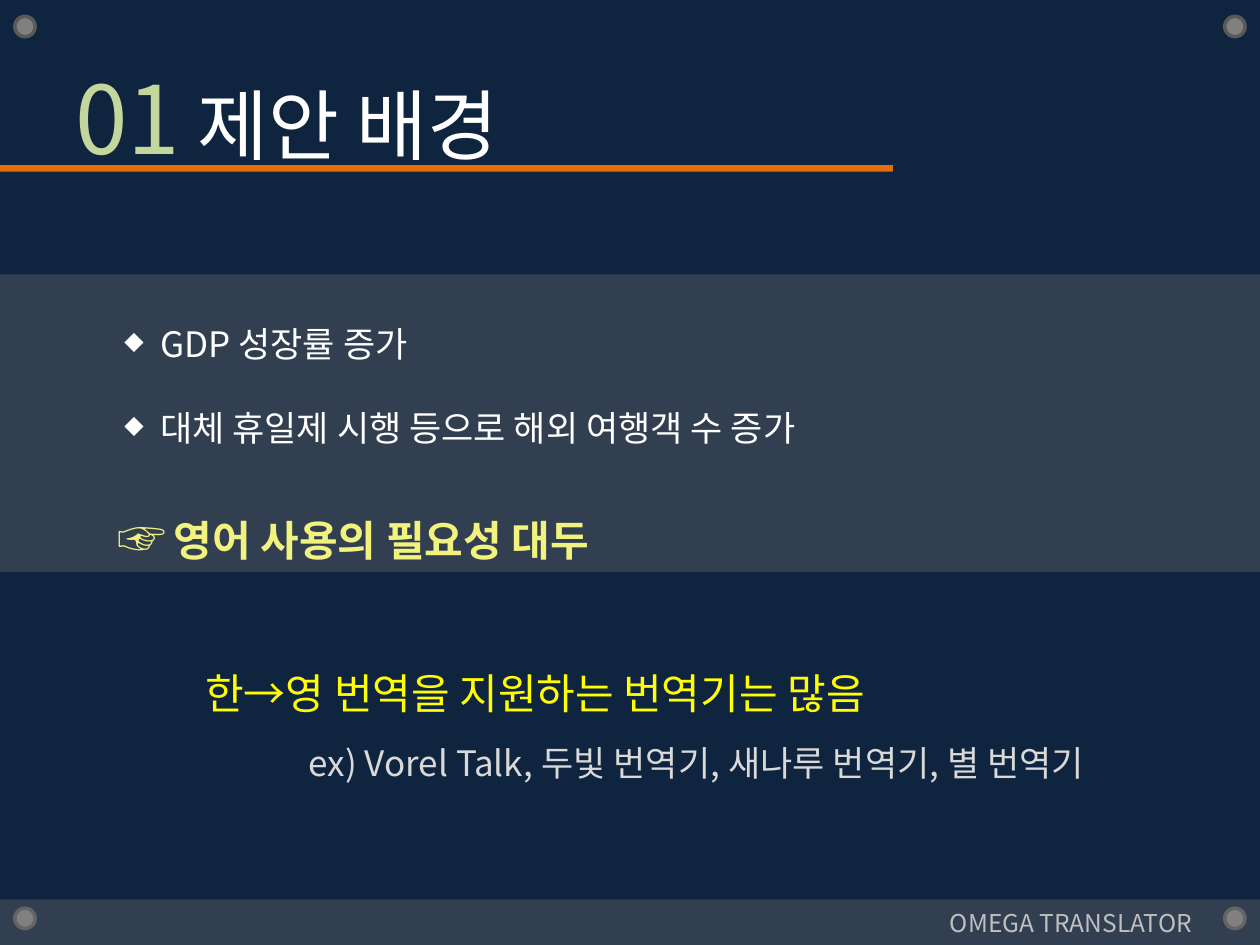
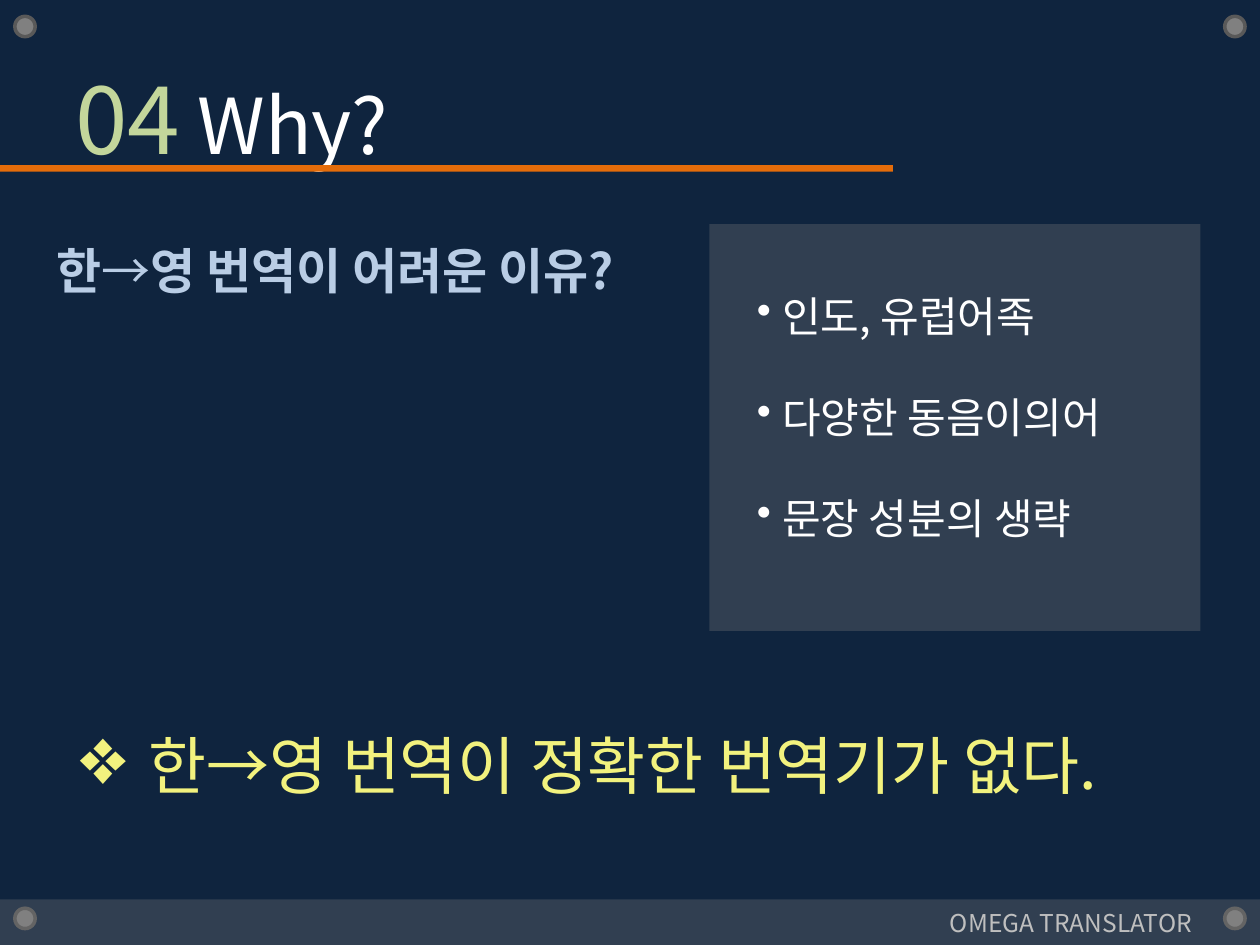
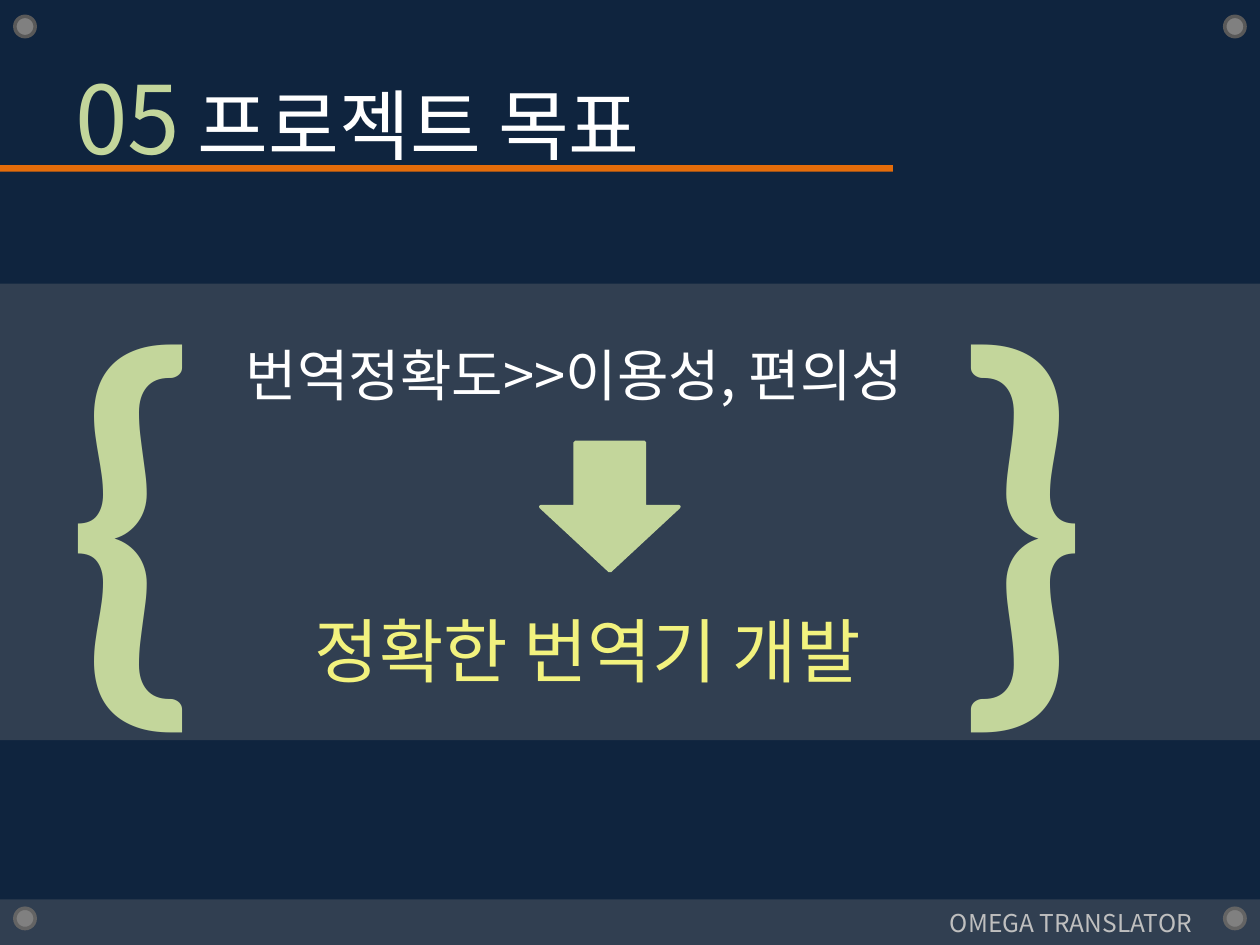
"""Builds three slides of a translator project proposal."""
from itertools import product

from lxml.etree import SubElement
from pptx import Presentation
from pptx.dml.color import RGBColor
from pptx.enum.shapes import MSO_SHAPE
from pptx.enum.text import MSO_ANCHOR
from pptx.oxml.ns import qn
from pptx.util import Cm, Pt

COLORS = {
    "navy": "0F243E", "gray": "808080", "rim": "595959", "orange": "E46C0A",
    "green": "C3D69B", "white": "FFFFFF", "yellow": "FFFF00",
    "lemon": "F2F27E", "blue": "B9CDE5", "light": "D9D9D9", "footer": "BFBFBF",
}
SANS = "Noto Sans CJK KR"
WIDTH, HEIGHT = 25.4, 19.05
FOOTER_TOP = 18.13
BULLETS = {"◆": (72, 0.71, 0.56), "•": (100, 0.32, 0.32), "❖": (128, 1.17, 1.09)}


def rgb(name):
    """Return the named colour."""
    return RGBColor.from_string(COLORS[name])


class SlideWriter:
    """Holds the deck, the shared style and the current page."""

    def __init__(self):
        """Open an empty deck of the right size."""
        self.deck = Presentation()
        self.deck.slide_width, self.deck.slide_height = Cm(WIDTH), Cm(HEIGHT)
        self.page = None

    def start(self, number, title):
        """Add a page with its frame and its numbered title."""
        self.page = self.deck.slides.add_slide(self.deck.slide_layouts[6])
        fill = self.page.background.fill
        fill.solid()
        fill.fore_color.rgb = rgb("navy")
        self.text(1.27, 0.76, 22.86, 3.18,
                  [[(number, 54, "green"), (f" {title}", 44, "white")]],
                  anchor=MSO_ANCHOR.MIDDLE)
        self.shape(MSO_SHAPE.RECTANGLE, 0, 3.33, 18, 0.13, "orange")
        for top, left in product((0.33, 18.31), (0.3, 24.69)):
            self.shape(MSO_SHAPE.OVAL, left, top, 0.41, 0.41, "gray", "rim")
        self.panel(0, FOOTER_TOP, WIDTH, HEIGHT - FOOTER_TOP)
        self.text(18.9, 18.19, 6, 0.86, [[("OMEGA TRANSLATOR", 14, "footer")]])

    def shape(self, kind, left, top, width, height, color, line=None):
        """Add a filled shape, outlined when a line colour is given."""
        shape = self.page.shapes.add_shape(
            kind, Cm(left), Cm(top), Cm(width), Cm(height))
        shape.shadow.inherit = False
        shape.fill.solid()
        shape.fill.fore_color.rgb = rgb(color)
        if line:
            shape.line.color.rgb = rgb(line)
            shape.line.width = Pt(2)
        else:
            shape.line.fill.background()
        return shape

    def panel(self, left, top, width, height):
        """Add a translucent gray rectangle."""
        panel = self.shape(MSO_SHAPE.RECTANGLE, left, top, width, height, "gray")
        color = panel._element.spPr.find(qn("a:solidFill"))[0]
        SubElement(color, qn("a:alpha"), val="30000")

    def bullet(self, para, sign):
        """Give a paragraph a bullet with its size and hanging indent."""
        percent, margin, hanging = BULLETS[sign]
        props = para._p.get_or_add_pPr()
        props.set("marL", str(Cm(margin)))
        props.set("indent", str(-Cm(hanging)))
        SubElement(props, qn("a:buSzPct"), val=str(percent * 1000))
        SubElement(props, qn("a:buChar"), char=sign)

    def text(self, left, top, width, height, paras, bullets="", spacing=None,
             font=SANS, anchor=MSO_ANCHOR.TOP):
        """Add paragraphs of (text, size, colour[, bold]) runs; bullets go to the first ones."""
        box = self.page.shapes.add_textbox(
            Cm(left), Cm(top), Cm(width), Cm(height))
        frame = box.text_frame
        frame.word_wrap = True
        frame.vertical_anchor = anchor
        for index, runs in enumerate(paras):
            para = frame.add_paragraph() if index else frame.paragraphs[0]
            para.line_spacing = spacing
            if index < len(bullets):
                self.bullet(para, bullets[index])
            for words, size, color, *bold in runs:
                span = para.add_run()
                span.text = words
                span.font.size = Pt(size)
                span.font.bold = bool(bold and bold[0])
                span.font.color.rgb = rgb(color)
                span.font.name = font
                SubElement(span._r.get_or_add_rPr(), qn("a:ea"), typeface=font)


def add_background(writer):
    """Add the page on why the project is proposed."""
    writer.start("01", "제안 배경")
    writer.panel(0, 5.53, WIDTH, 6)
    writer.text(2.11, 5.53, 21.8, 6.07, [
        [(" GDP 성장률 증가", 20, "white")],
        [(" 대체 휴일제 시행 등으로 해외 여행객 수 증가", 20, "white")],
        [("☞", 28, "lemon", True), (" ", 20, "white"),
         ("영어 사용의 필요성 대두", 24, "lemon", True)],
    ], bullets="◆◆", spacing=2.0)
    writer.text(3.89, 13.33, 18.2, 1.27,
                [[("한→영 번역을 지원하는 번역기는 많음", 24, "yellow")]])
    writer.text(5.97, 14.83, 19.43, 1.12,
                [[("ex) Vorel Talk, 두빛 번역기, 새나루 번역기, 별 번역기",
                   20, "light")]])


def add_reasons(writer):
    """Add the page on why translation is hard."""
    writer.start("04", "Why?")
    writer.panel(14.3, 4.52, 9.9, 8.2)
    writer.text(0.89, 4.72, 12.93, 1.45, [[
        ("한", 28, "blue", True), ("→", 28, "blue"),
        ("영 번역이 어려운 이유?", 28, "blue", True)]])
    reasons = ("인도, 유럽어족", "다양한 동음이의어", "문장 성분의 생략")
    writer.text(15.01, 4.72, 8.26, 6.1,
                [[(f" {reason}", 24, "white")] for reason in reasons],
                bullets="•••", spacing=2.0)
    writer.text(1.3, 14.53, 23.5, 1.8,
                [[(" 한→영 번역이 정확한 번역기가 없다.", 36, "lemon")]],
                bullets="❖")


def add_goal(writer):
    """Add the page on the project goal."""
    writer.start("05", "프로젝트 목표")
    writer.panel(0, 5.72, WIDTH, 9.2)
    writer.text(4.7, 6.73, 15.29, 1.63,
                [[("번역정확도>>이용성, 편의성", 32, "white")]])
    for brace, left in (("{", 1.09), ("}", 19.1)):
        writer.text(left, 4.93, 2.69, 10.46, [[(brace, 239, "green", True)]],
                    font="Lato")
    writer.text(6.1, 12.12, 12.93, 1.96,
                [[("정확한 번역기 개발", 40, "lemon")]])
    writer.shape(MSO_SHAPE.DOWN_ARROW, 10.9, 8.92, 2.79, 2.59, "green", "green")


def main():
    """Build and save the deck."""
    writer = SlideWriter()
    add_background(writer)
    add_reasons(writer)
    add_goal(writer)
    writer.deck.save("out.pptx")


if __name__ == "__main__":
    main()
